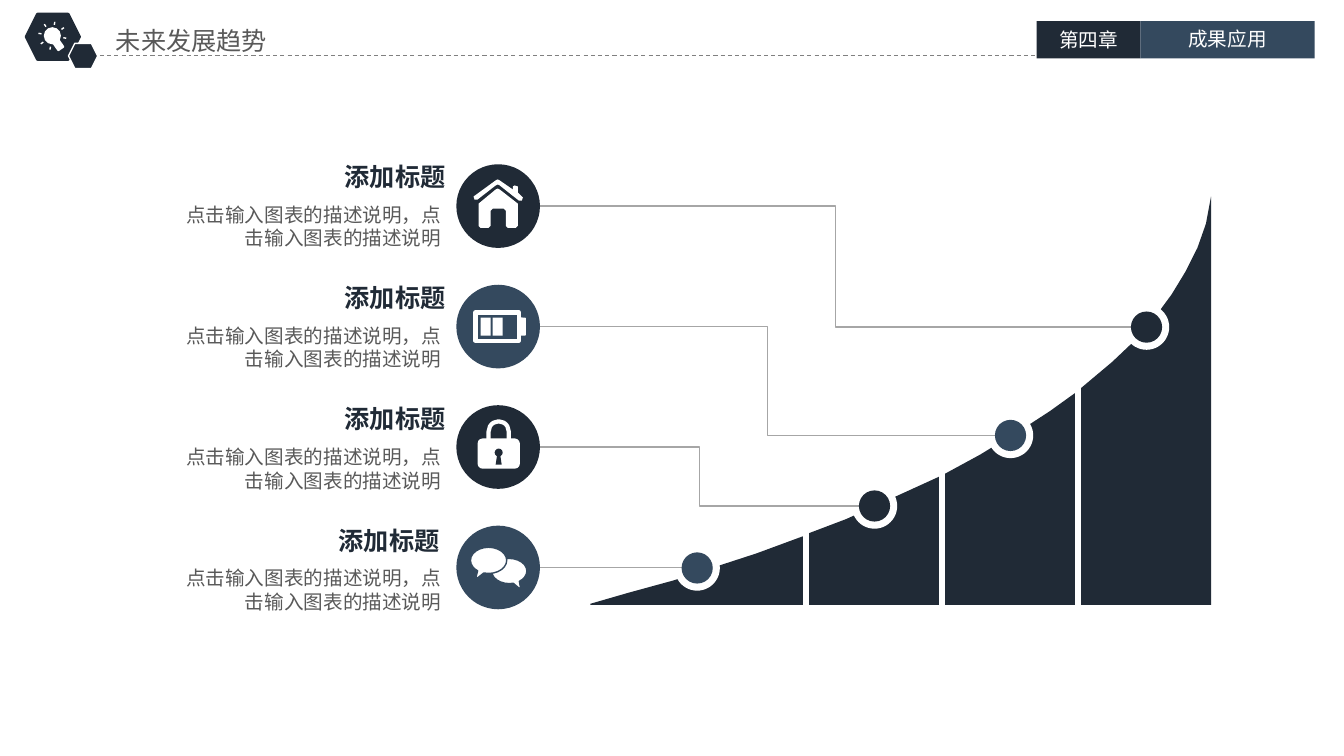
"""Build the slide on future development trends."""
import math

from lxml import etree
from pptx import Presentation, util as u
from pptx.dml.color import RGBColor
from pptx.enum import dml, shapes, text
from pptx.oxml import ns

CELL = u.Inches(0.1)
COLUMNS, ROWS = 133.4, 75
FONT = "Noto Sans CJK SC"
COLORS = {"navy": "202A36", "steel": "34495E", "white": "FFFFFF",
          "gray": "595959", "wire": "A6A6A6", "dash": "808080"}
KINDS = shapes.MSO_SHAPE
TOPIC = "添加标题"
DETAIL = "点击输入图表的描述说明，点击输入图表的描述说明"
TOPIC_ROW, ROW_STEP = 20.45, 11.95
BADGE_COLUMN, BADGE_RADIUS = 49.45, 4.15
DOTS = [(113.8, 32.45), (100.3, 43.2), (86.8, 50.2), (69.2, 56.35)]
BANDS = [(58.6, 79.7), (80.3, 93.2), (93.8, 106.7), (107.3, 120.2)]
BASELINE = 60
CURVE = [(58.6, 59.9), (62.4, 58.8), (66.8, 57.6), (75.1, 54.9), (79.7, 53.2),
         (80.3, 52.9), (84, 51.5), (93.2, 47.3), (93.8, 47), (97.3, 45.1),
         (102.2, 42.1), (104.2, 40.8), (106.7, 39), (107.3, 38.5),
         (110.4, 35.9), (112.3, 34.1), (115.2, 30.7), (116.3, 29.2),
         (117.7, 26.9), (118.85, 24.6), (119.7, 22.2), (120.2, 19.5)]
ROOF = [(47, 19.5), (49.2, 17.9), (49.4, 17.8), (49.6, 17.9), (50.9, 18.8),
        (50.9, 18.5), (51.1, 18.4), (51.4, 18.5), (51.4, 19.1), (51.9, 19.6),
        (51.8, 19.9), (51.5, 19.9), (49.6, 18.4), (49.4, 18.3), (49.2, 18.4),
        (47.4, 19.8), (47.1, 19.8)]
WALLS = [(47.5, 20.2), (49.2, 18.8), (49.4, 18.7), (49.6, 18.8), (51.4, 20.2),
         (51.4, 22.4), (51.2, 22.6), (50.4, 22.6), (50.2, 22.4), (50.2, 20.9),
         (50, 20.7), (48.9, 20.7), (48.7, 20.9), (48.7, 22.4), (48.5, 22.6),
         (47.7, 22.6), (47.5, 22.4)]


def cells(*counts):
    """Turn grid counts into lengths."""
    return [u.Emu(round(count * CELL)) for count in counts]


def rgb(name):
    """Look up a colour by name."""
    return RGBColor.from_string(COLORS[name])


def paint(figure, fill, outline=None, width=1):
    """Set the fill and outline of a figure."""
    figure.shadow.inherit = False
    if fill:
        figure.fill.solid()
        figure.fill.fore_color.rgb = rgb(fill)
    else:
        figure.fill.background()
    if outline:
        figure.line.color.rgb = rgb(outline)
        figure.line.width = u.Pt(width)
    else:
        figure.line.fill.background()
    return figure


def preset(slide, kind, box, fill, outline=None, width=1, adjust=()):
    """Draw a preset shape in a box of grid cells."""
    figure = slide.shapes.add_shape(kind, *cells(*box))
    for index, value in enumerate(adjust):
        figure.adjustments[index] = value
    return paint(figure, fill, outline, width)


def disc(slide, center, radius, fill):
    """Draw a circle around a centre."""
    x, y = center
    box = (x - radius, y - radius, 2 * radius, 2 * radius)
    return preset(slide, KINDS.OVAL, box, fill)


def outline_shape(slide, points, fill):
    """Draw a closed outline through grid points."""
    start, *rest = [cells(*point) for point in points]
    builder = slide.shapes.build_freeform(*start, scale=1.0)
    builder.add_line_segments(rest, close=True)
    return paint(builder.convert_to_shape(), fill)


def wire(slide, start, end, color, width, bent=False, dashed=False):
    """Join two grid points with a straight or bent line."""
    kind = shapes.MSO_CONNECTOR.ELBOW if bent else shapes.MSO_CONNECTOR.STRAIGHT
    joint = slide.shapes.add_connector(kind, *cells(*start, *end))
    joint.line.color.rgb = rgb(color)
    joint.line.width = u.Pt(width)
    if dashed:
        joint.line.dash_style = dml.MSO_LINE.DASH
    etree.SubElement(joint.element.spPr, ns.qn("a:effectLst"))


def write(holder, words, size, color, align, inset=(1, 0.5), bold=False, wrap=True):
    """Write one formatted run into a text holder."""
    frame = holder.text_frame
    frame.word_wrap = wrap
    frame.auto_size = text.MSO_AUTO_SIZE.NONE
    frame.margin_left = frame.margin_right = cells(inset[0])[0]
    frame.margin_top = frame.margin_bottom = cells(inset[1])[0]
    paragraph = frame.paragraphs[0]
    paragraph.alignment = align
    run = paragraph.add_run()
    run.text = words
    run.font.name, run.font.size, run.font.bold = FONT, u.Pt(size), bold
    run.font.color.rgb = rgb(color)
    etree.SubElement(run.font._element, ns.qn("a:ea"), typeface=FONT)


def label(slide, box, *style, **options):
    """Add a text box in a box of grid cells."""
    write(slide.shapes.add_textbox(*cells(*box)), *style, **options)


def bulb(slide):
    """Draw the light bulb with its rays."""
    x, y = 5.2, 3.55
    disc(slide, (x, y), 0.85, "white")
    base = preset(slide, KINDS.ROUNDED_RECTANGLE, (5.35, 3.8, 0.8, 1.2), "white")
    base.rotation = -35
    for turn in range(1, 8):
        angle = math.radians(55 + 45 * turn)
        inner, outer = [(x + reach * math.cos(angle), y + reach * math.sin(angle))
                        for reach in (1.1, 1.4)]
        wire(slide, inner, outer, "white", 1)


def house(slide):
    """Draw the house icon."""
    outline_shape(slide, WALLS, "white")
    outline_shape(slide, ROOF, "white")


def battery(slide):
    """Draw the battery icon."""
    preset(slide, KINDS.RECTANGLE, (47.2, 31, 4.3, 2.8), None, "white", 3)
    preset(slide, KINDS.ROUNDED_RECTANGLE, (51.5, 31.5, 0.7, 1.8), "white")
    for column in (47.7, 48.9):
        preset(slide, KINDS.RECTANGLE, (column, 31.5, 1, 1.8), "white")


def lock(slide):
    """Draw the padlock icon."""
    preset(slide, KINDS.ROUNDED_RECTANGLE, (48.5, 41.8, 2, 3), None, "white", 3, [0.5])
    preset(slide, KINDS.ROUNDED_RECTANGLE, (47.4, 43.5, 4.2, 3), "white")
    preset(slide, KINDS.OVAL, (49.1, 44.5, 0.8, 0.8), "navy")
    preset(slide, KINDS.TRAPEZOID, (49.2, 45.1, 0.6, 1), "navy")


def chat(slide):
    """Draw the two speech bubbles."""
    for box, tip in (((48.8, 55.4, 3.5, 2.5), (0.33, 0.74)),
                     ((46.7, 54.3, 3.6, 2.6), (-0.36, 0.73))):
        preset(slide, KINDS.OVAL_CALLOUT, box, "white", "steel", 1, tip)


def header(slide):
    """Draw the title, the emblem and the chapter tabs."""
    title = slide.shapes.title
    title.left, title.top, title.width, title.height = cells(10.8, 2.1, 20.5, 3.8)
    title.text_frame.vertical_anchor = text.MSO_ANCHOR.MIDDLE
    write(title, "未来发展趋势", 18, "gray", text.PP_ALIGN.LEFT, (0.7, 0.4))
    preset(slide, KINDS.HEXAGON, (2.6, 1.4, 5.3, 4.5), "navy", "navy", 2)
    wire(slide, (9.2, 5.5), (102.9, 5.5), "dash", 0.75, dashed=True)
    preset(slide, KINDS.HEXAGON, (6.8, 4.3, 2.9, 2.5), "navy", "white")
    bulb(slide)
    for left, width, top, fill, words in ((102.9, 10.3, 2.4, "navy", "第四章"),
                                          (113.2, 17.3, 2.3, "steel", "成果应用")):
        preset(slide, KINDS.RECTANGLE, (left, 2.1, width, 3.7), fill)
        label(slide, (left, top, width, 3.1), words, 14, "white",
              text.PP_ALIGN.CENTER, (0.7, 0.4))


def growth(slide):
    """Draw the rising area in its four bands."""
    for left, right in BANDS:
        crest = [point for point in CURVE if left <= point[0] <= right]
        outline_shape(slide, crest + [(right, BASELINE), (left, BASELINE)], "navy")
    for dot in DOTS:
        disc(slide, dot, 2.25, "white")


def topic(slide, index, dot, icon):
    """Draw one topic with its badge, wire and dot."""
    fill = ("navy", "steel")[index % 2]
    row = TOPIC_ROW + index * ROW_STEP
    bent = index < len(DOTS) - 1
    end = (dot[0] - 1.55, dot[1] if bent else row)
    wire(slide, (BADGE_COLUMN + BADGE_RADIUS, row), end, "wire", 1, bent)
    disc(slide, (BADGE_COLUMN, row), BADGE_RADIUS, fill)
    icon(slide)
    disc(slide, dot, 1.55, fill)
    right = text.PP_ALIGN.RIGHT
    top = 15.5 + index * 12.03
    label(slide, (33.1 if bent else 32.5, top, 12.1, 4), TOPIC, 18, "navy", right,
          bold=True, wrap=False)
    label(slide, (16.8, top + 4.1, 28, 5.7), DETAIL, 14, "gray", right)


def main():
    """Build and save the slide."""
    deck = Presentation()
    deck.slide_width, deck.slide_height = cells(COLUMNS, ROWS)
    slide = deck.slides.add_slide(deck.slide_layouts[5])
    header(slide)
    growth(slide)
    for index, (dot, icon) in enumerate(zip(DOTS, (house, battery, lock, chat))):
        topic(slide, index, dot, icon)
    deck.save("out.pptx")


if __name__ == "__main__":
    main()
